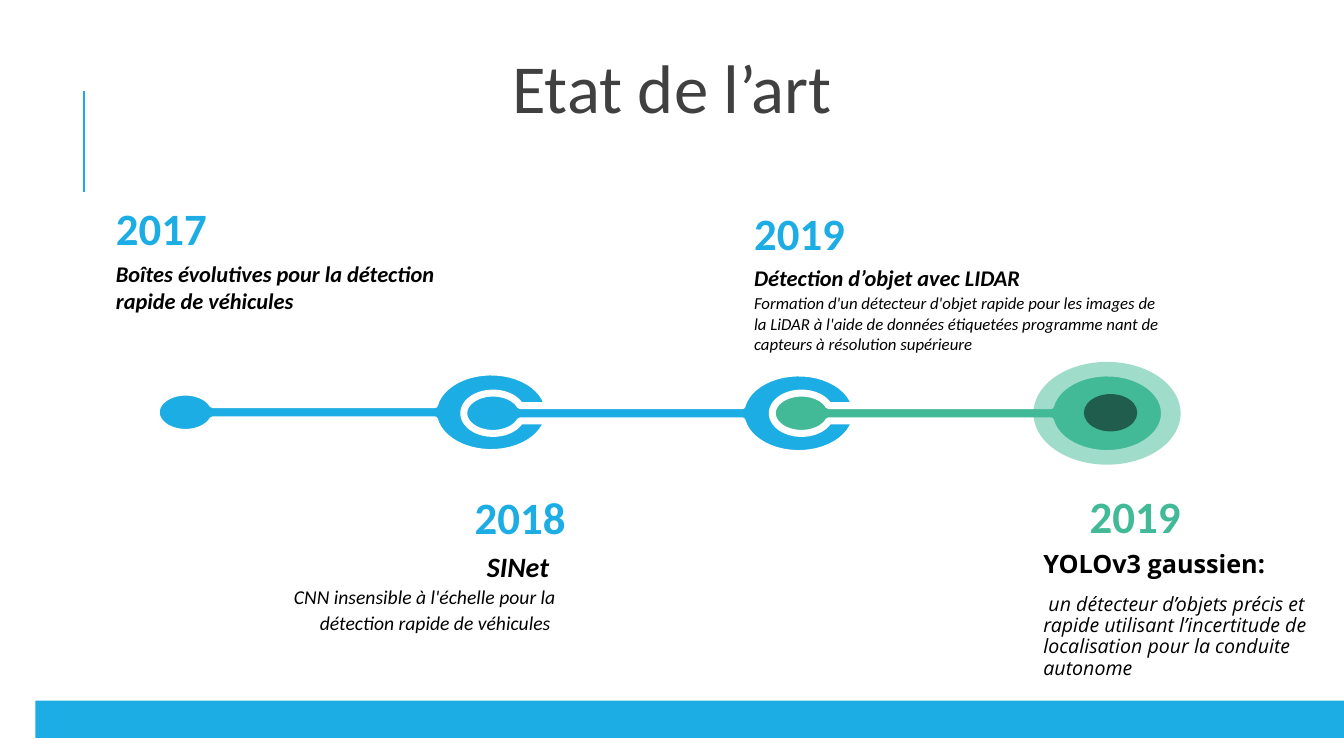
"""Build the "Etat de l’art" timeline slide."""
import math

from lxml import etree
from pptx import Presentation
from pptx import util as u
from pptx.dml.color import RGBColor
from pptx.enum import shapes, text
from pptx.oxml import ns

COLORS = {"blue": "1CADE4", "green": "42BA97", "dark": "215D4C",
          "title": "404040", "black": "000000", "white": "FFFFFF"}
ALIGN = text.PP_ALIGN


def paint(shape, color):
    shape.shadow.inherit = False
    shape.fill.solid()
    shape.fill.fore_color.rgb = RGBColor.from_string(COLORS[color])
    shape.line.fill.background()


def add_label(place, insets, align, spans, font="Calibri", spacing=1.0):
    box = page.shapes.add_textbox(*(u.Inches(n) for n in place))
    frame = box.text_frame
    frame.word_wrap = True
    frame.auto_size = text.MSO_AUTO_SIZE.SHAPE_TO_FIT_TEXT
    side, edge, right = insets
    frame.margin_left, frame.margin_right = u.Inches(side), u.Inches(right)
    frame.margin_top = frame.margin_bottom = u.Inches(edge)
    para = frame.paragraphs[0]
    para.alignment = align
    para.line_spacing = spacing
    for words, size, style, color in spans:
        span = para.add_run()
        span.text = words
        span.font.name = font
        span.font.size = u.Pt(size)
        span.font.bold = "b" in style
        span.font.italic = "i" in style
        span.font.color.rgb = RGBColor.from_string(COLORS[color])


deck = Presentation()
deck.slide_width, deck.slide_height = u.Inches(13.33), u.Inches(7.5)
page = deck.slides.add_slide(deck.slide_layouts[5])

accent = page.shapes.add_connector(
    shapes.MSO_CONNECTOR.STRAIGHT,
    u.Inches(0.83), u.Inches(1.9), u.Inches(0.83), u.Inches(0.9))
accent.line.color.rgb = RGBColor.from_string(COLORS["blue"])
accent.line.width = u.Pt(1.5)
etree.SubElement(accent._element.spPr, ns.qn("a:effectLst"))

footer = page.shapes.add_shape(
    shapes.MSO_SHAPE.RECTANGLE,
    u.Inches(0.35), u.Inches(6.95), u.Inches(12.98), u.Inches(0.37))
paint(footer, "blue")

title = page.shapes.title
title.left, title.top = u.Inches(0), u.Inches(0.37)
title.width, title.height = u.Inches(13.33), u.Inches(0.87)
title.text_frame.text = "Etat de l’art"
title.text_frame.auto_size = text.MSO_AUTO_SIZE.NONE
title.text_frame.vertical_anchor = text.MSO_ANCHOR.MIDDLE
title.text_frame.margin_top = u.Inches(0.15)
title.text_frame.margin_bottom = u.Inches(0.05)
heading = title.text_frame.paragraphs[0]
heading.alignment = ALIGN.CENTER
heading.runs[0].font.name = "Calibri"
heading.runs[0].font.size = u.Pt(49.1)
heading.runs[0].font.color.rgb = RGBColor.from_string(COLORS["title"])

NECK, STEPS = 0.075, 48
for start, middle, color in [(1.55, 4.09, "blue"), (4.6, 4.1, "blue"),
                             (7.66, 4.1, "green")]:
    outline = []
    for center, rx, ry, facing in [(start + 3.32, 0.57, 0.4, math.pi),
                                   (start + 0.29, 0.29, 0.2, 0)]:
        gap = math.asin(NECK / ry)
        for step in range(STEPS + 1):
            angle = facing + gap + (2 * math.pi - 2 * gap) * step / STEPS
            outline.append((u.Inches(center + rx * math.cos(angle)),
                            u.Inches(middle + ry * math.sin(angle))))
    builder = page.shapes.build_freeform(*outline[0])
    builder.add_line_segments(outline[1:], close=True)
    link = builder.convert_to_shape()
    paint(link, color)
    link.line.color.rgb = RGBColor.from_string(COLORS["white"])
    link.line.width = u.Pt(5)

for place, color, opacity in [((10.25, 3.59, 1.46, 1.02), "green", 50),
                              ((10.75, 3.91, 0.53, 0.37), "dark", 100)]:
    disc = page.shapes.add_shape(shapes.MSO_SHAPE.OVAL,
                                 *(u.Inches(n) for n in place))
    paint(disc, color)
    if opacity < 100:
        tint = disc._element.spPr.find(".//" + ns.qn("a:srgbClr"))
        etree.SubElement(tint, ns.qn("a:alpha"), val=str(opacity * 1000))

for year, left, top, width, align, color in [
        ("2017", 1.03, 1.99, 3.41, ALIGN.LEFT, "blue"),
        ("2018", 3.43, 4.86, 2.18, ALIGN.RIGHT, "blue"),
        ("2019", 7.36, 2.04, 2.14, ALIGN.LEFT, "blue"),
        ("2019", 9.53, 4.85, 2.18, ALIGN.RIGHT, "green")]:
    add_label((left, top, width, 0.53), (0.12, 0, 0), align,
              [(year, 32, "b", color)])

HEAD, BODY = (0.12, 0.05, 0.12), (0.1, 0.05, 0.1)
add_label((1.03, 2.53, 3.41, 0.63), HEAD, ALIGN.LEFT,
          [("Boîtes évolutives pour la détection rapide de véhicules",
            16, "bi", "black"), (" ", 14, "i", "black")])
add_label((3.43, 5.4, 2.18, 0.43), HEAD, ALIGN.RIGHT,
          [("SINet", 20, "bi", "black"), (" ", 14, "bi", "black")])
add_label((2.59, 5.75, 3.02, 0.8), BODY, ALIGN.RIGHT,
          [("CNN insensible à l'échelle pour la détection rapide de véhicules",
            14, "i", "black"), (" ", 16, "i", "black")])
add_label((7.36, 2.57, 3.92, 0.36), HEAD, ALIGN.LEFT,
          [("Détection d’objet avec LIDAR", 16, "bi", "black")])
add_label((7.38, 2.86, 4.31, 0.7), BODY, ALIGN.LEFT,
          [("Formation d'un détecteur d'objet rapide pour les images de la "
            "LiDAR à l'aide de données étiquetées programme nant de capteurs "
            "à résolution supérieure", 12, "i", "black")])
add_label((10.25, 5.42, 3.02, 0.4), BODY, ALIGN.LEFT,
          [("YOLOv3 gaussien:", 18, "b", "black")], "Open Sans", 0.9)
add_label((10.25, 5.85, 3.02, 1.23), BODY, ALIGN.LEFT,
          [(" un détecteur d’objets précis et rapide utilisant l’incertitude "
            "de localisation pour la conduite autonome", 14, "i", "black")],
          "Open Sans", 0.9)

deck.save("out.pptx")
